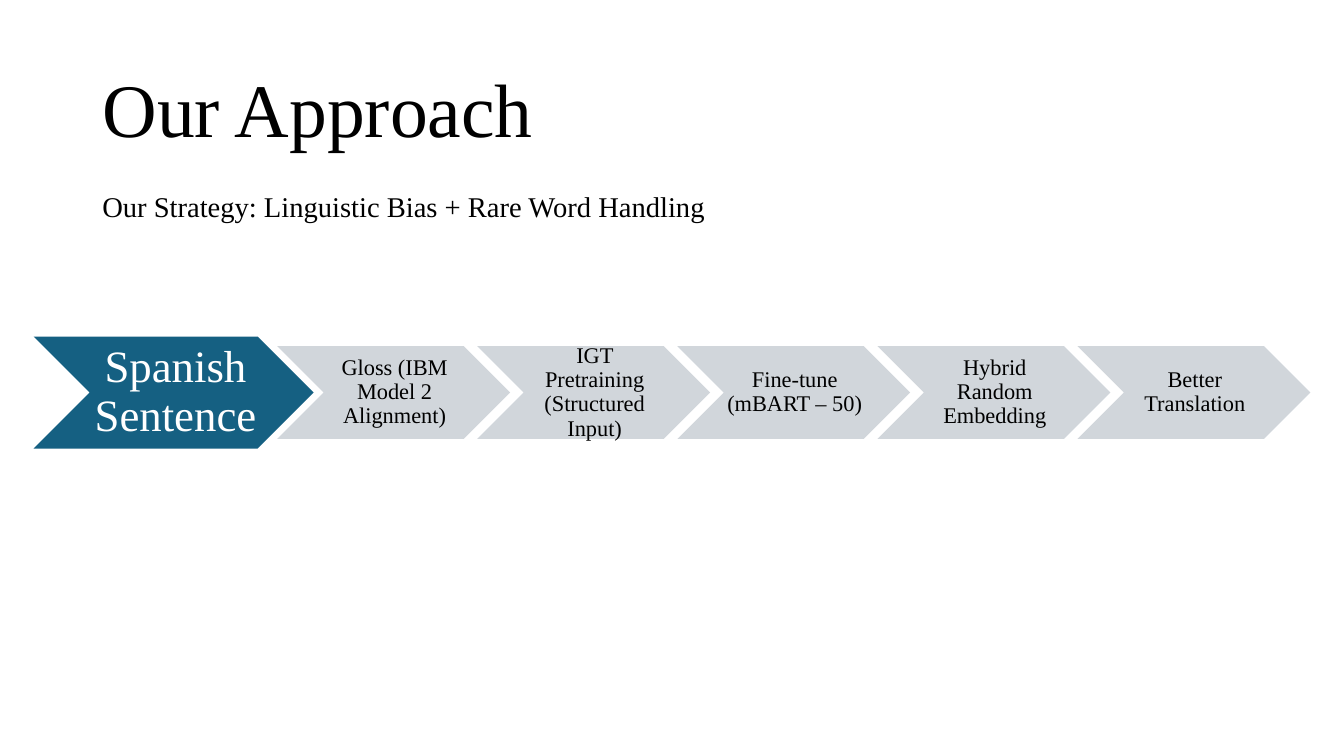
from pptx import Presentation
from pptx.dml.color import RGBColor
from pptx.enum.shapes import MSO_SHAPE as Shape
from pptx.enum.text import MSO_ANCHOR as Anchor, PP_ALIGN as Align
from pptx.oxml.ns import qn
from pptx.util import Pt
from lxml.etree import SubElement

FONT = "Times New Roman"
BLACK = RGBColor(0x00, 0x00, 0x00)
WHITE = RGBColor(0xFF, 0xFF, 0xFF)
TEAL = RGBColor(0x15, 0x60, 0x82)
GREY = RGBColor(0xCC, 0xD2, 0xD8)

MARGIN = 66
ROW_MIDDLE = 280.4
FIRST_LEFT, FIRST_W, FIRST_H = 24, 200, 80
STEP_LEFT, STEP_W, STEP_H, STEP_PITCH = 198, 166.4, 66.4, 142.9

STEPS = [
    "Gloss (IBM Model 2 Alignment)",
    "IGT Pretraining (Structured Input)",
    "Fine-tune (mBART – 50)",
    "Hybrid Random Embedding",
    "Better Translation",
]


def write(tf, text, size, color, align, anchor):
    tf.text = text
    tf.word_wrap = True
    tf.vertical_anchor = anchor
    p = tf.paragraphs[0]
    p.alignment = align
    p.line_spacing = 0.9
    font = p.runs[0].font
    font.name, font.size, font.color.rgb = FONT, Pt(size), color


def add_title(s, text):
    title = s.shapes.title
    title.left, title.top = Pt(MARGIN), Pt(28.8)
    title.width, title.height = Pt(828), Pt(104.4)
    write(title.text_frame, text, 54, BLACK, Align.LEFT, Anchor.MIDDLE)


def add_subtitle(s, text):
    box = s.shapes.add_textbox(Pt(MARGIN), Pt(133.9), Pt(472.3), Pt(68.4))
    write(box.text_frame, text, 20.4, BLACK, Align.LEFT, Anchor.TOP)


def set_opacity(sp, percent):
    color = sp.fill._xPr.find(qn("a:solidFill"))[0]
    SubElement(color, qn("a:alpha")).set("val", str(percent * 1000))


def add_chevron(s, text, left, width, height, fill, size, color, inset):
    """Add a chevron centred on the row; inset is its left text margin."""
    sp = s.shapes.add_shape(Shape.CHEVRON, Pt(left), Pt(ROW_MIDDLE - height / 2),
                            Pt(width), Pt(height))
    sp.shadow.inherit = False
    sp.fill.solid()
    sp.fill.fore_color.rgb = fill
    sp.line.fill.background()
    tf = sp.text_frame
    tf.margin_left, tf.margin_right = Pt(inset), 0
    tf.margin_top = tf.margin_bottom = Pt(inset / 2)
    write(tf, text, size, color, Align.CENTER, Anchor.MIDDLE)
    return sp


def main():
    prs = Presentation()
    prs.slide_width, prs.slide_height = Pt(960), Pt(540)
    s = prs.slides.add_slide(prs.slide_layouts[5])

    add_title(s, "Our Approach")
    add_subtitle(s, "Our Strategy: Linguistic Bias + Rare Word Handling")

    add_chevron(s, "Spanish Sentence", FIRST_LEFT, FIRST_W, FIRST_H,
                TEAL, 32, WHITE, 2.8)
    for i, text in enumerate(STEPS):
        sp = add_chevron(s, text, STEP_LEFT + i * STEP_PITCH, STEP_W, STEP_H,
                         GREY, 16, BLACK, 1.4)
        set_opacity(sp, 90)

    prs.save("out.pptx")


if __name__ == "__main__":
    main()
